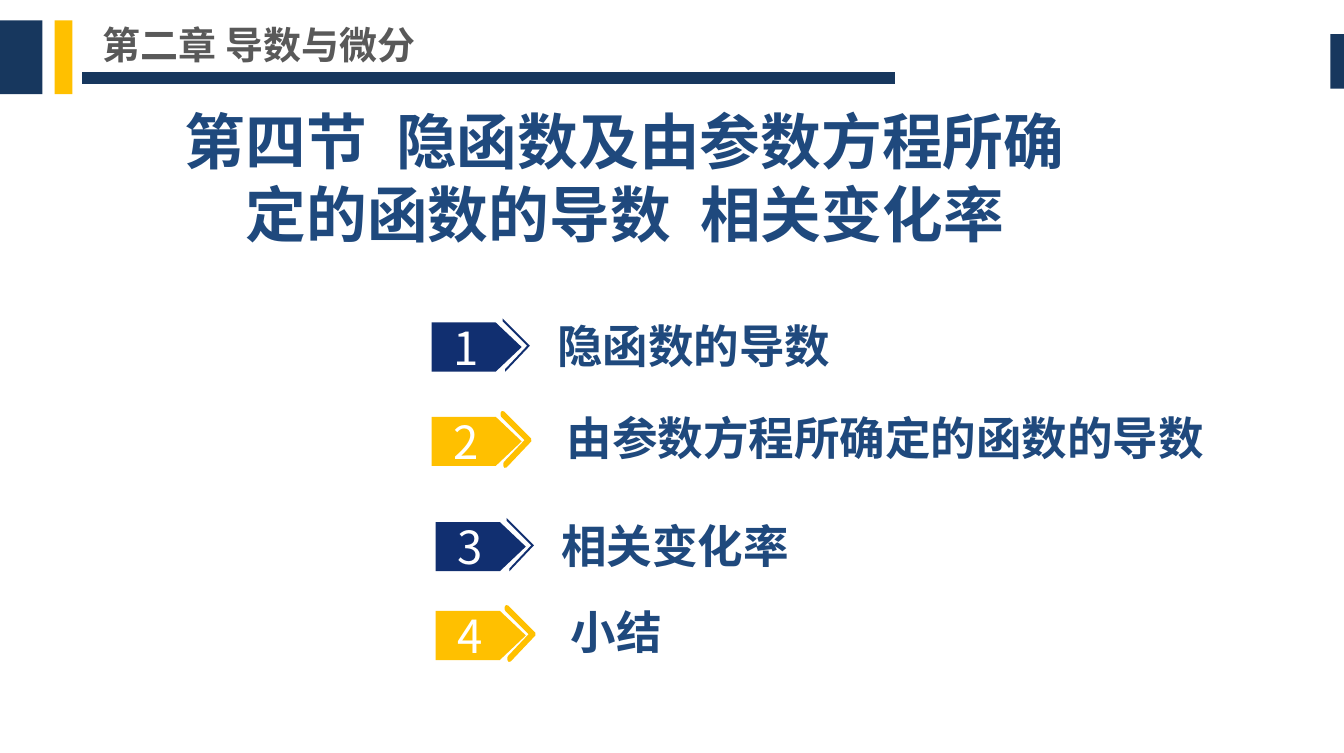
from dataclasses import dataclass
from itertools import groupby

from lxml.etree import SubElement
from pptx import Presentation
from pptx.dml.color import RGBColor as Color
from pptx.enum.shapes import MSO_CONNECTOR as Connector, MSO_SHAPE as Shape
from pptx.enum.text import MSO_ANCHOR as Anchor, PP_ALIGN as Align
from pptx.oxml.ns import qn
from pptx.util import Inches, Pt

SECTIONS = [
    ("隐函数的导数", 3.16, 2.36),
    ("由参数方程所确定的函数的导数", 3.16, 3.05),
    ("相关变化率", 3.19, 3.82),
    ("小结", 3.19, 4.47),
]
ARROW = [(0, 0), (0.47, 0), (0.66, 0.18), (0.47, 0.36), (0, 0.36)]
CHEVRON = [(0.52, -0.03), (0.72, 0.17), (0.54, 0.36), (0.54, 0.34), (0.7, 0.17), (0.52, -0.01)]


@dataclass(frozen=True)
class Theme:
    """Colours, font and type sizes of the deck."""

    bar: Color = Color.from_string("17375E")
    gold: Color = Color.from_string("FFC000")
    navy: Color = Color.from_string("112F70")
    heading: Color = Color.from_string("1F497D")
    chapter: Color = Color.from_string("595959")
    white: Color = Color.from_string("FFFFFF")
    font: str = "Noto Sans CJK SC"
    chapter_size: Pt = Pt(20)
    title_size: Pt = Pt(32)
    item_size: Pt = Pt(24)
    title_gap: str = "800"


class Page:
    """Draws styled elements on one slide."""

    def __init__(self, slide, theme):
        self.shapes = slide.shapes
        self.theme = theme

    def paint(self, shape, fill, line=None):
        shape.shadow.inherit = False
        shape.fill.solid()
        shape.fill.fore_color.rgb = fill
        if line is None:
            shape.line.fill.background()
        else:
            shape.line.color.rgb = line
            shape.line.width = Pt(2)

    def block(self, left, top, width, height, fill):
        area = map(Inches, (left, top, width, height))
        self.paint(self.shapes.add_shape(Shape.RECTANGLE, *area), fill)

    def rule(self, start, end, color, width):
        line = self.shapes.add_connector(Connector.STRAIGHT, *map(Inches, start + end))
        line.line.color.rgb = color
        line.line.width = width
        SubElement(line._element.spPr, qn("a:effectLst"))

    def outline(self, left, top, points, fill, line=None):
        corners = [(Inches(left + x), Inches(top + y)) for x, y in points]
        builder = self.shapes.build_freeform(*corners[0])
        builder.add_line_segments(corners[1:], close=True)
        self.paint(builder.convert_to_shape(), fill, line)

    def text(self, words, left, top, width, height, size, color, bold=True, align=Align.LEFT,
             gap="0", **frame_format):
        box = self.shapes.add_textbox(*map(Inches, (left, top, width, height)))
        frame = box.text_frame
        for name, value in ({"word_wrap": True} | frame_format).items():
            setattr(frame, name, value)
        para = frame.paragraphs[0]
        para.alignment = align
        for is_space, letters in groupby(words, str.isspace):
            span = para.add_run()
            span.text = "".join(letters)
            for name, value in {"name": self.theme.font, "size": size, "bold": bold}.items():
                setattr(span.font, name, value)
            span.font.color.rgb = color
            properties = span._r.get_or_add_rPr()
            SubElement(properties, qn("a:ea"), typeface=self.theme.font)
            if is_space:
                properties.set("spc", gap)

    def section(self, number, words, left, top):
        theme = self.theme
        golden = number % 2 == 0
        shift, rise = (0.89, 0.1) if golden else (0.82, 0.08)
        width = 0.34 * len(words) + 0.25
        self.text(words, left + shift, top - rise, width, 0.5, theme.item_size, theme.heading)
        self.outline(left, top, CHEVRON, theme.navy, theme.gold if golden else None)
        self.outline(left, top, ARROW, theme.gold if golden else theme.navy)
        self.text(str(number), left + 0.06, top - 0.07, 0.57, 0.5, theme.item_size, theme.white, bold=False)


def main():
    theme = Theme()
    deck = Presentation()
    deck.slide_width, deck.slide_height = Inches(9.84), Inches(5.51)
    page = Page(deck.slides.add_slide(deck.slide_layouts[6]), theme)

    page.block(-0.01, 0.15, 0.32, 0.54, theme.bar)
    page.block(0.4, 0.15, 0.13, 0.54, theme.gold)
    page.block(9.74, 0.25, 0.15, 0.4, theme.bar)
    page.rule((6.55, 0.57), (0.6, 0.57), theme.bar, Pt(6))

    margins = dict.fromkeys(("margin_left", "margin_top", "margin_right", "margin_bottom"), 0)
    page.text("第二章 导数与微分", 0.75, 0.16, 6.25, 0.33, theme.chapter_size, theme.chapter,
              vertical_anchor=Anchor.MIDDLE, **margins)
    page.text("第四节 隐函数及由参数方程所确定的函数的导数 相关变化率", 1.09, 0.71, 6.97, 1.15,
              theme.title_size, theme.heading, align=Align.CENTER, gap=theme.title_gap)

    for number, section in enumerate(SECTIONS, 1):
        page.section(number, *section)
    deck.save("out.pptx")


if __name__ == "__main__":
    main()
